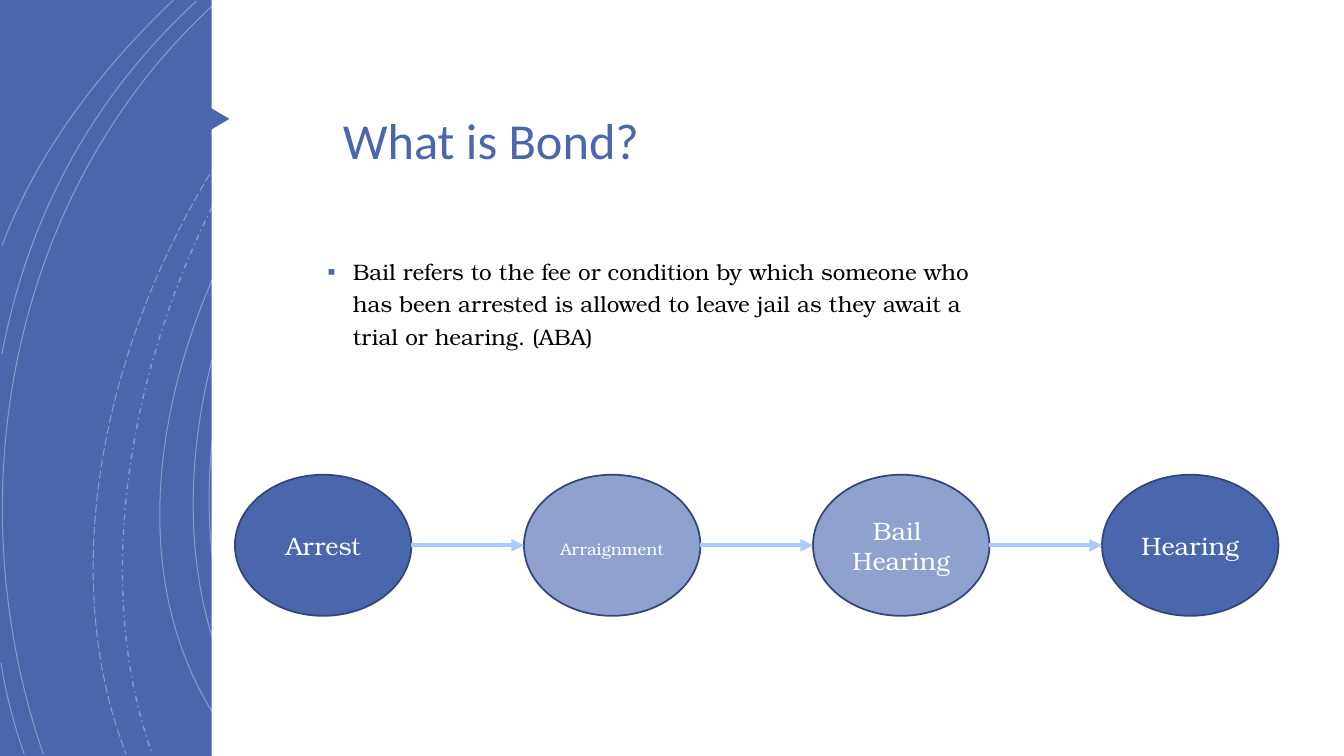
import pptx
import pptx.util
import pptx.dml.color
import pptx.enum.dml
import pptx.enum.shapes
import pptx.enum.text
import pptx.oxml.ns
import lxml.etree

Inches, Pt = pptx.util.Inches, pptx.util.Pt
RGB = pptx.dml.color.RGBColor
SHAPE = pptx.enum.shapes.MSO_SHAPE
DASH = pptx.enum.dml.MSO_LINE
ALIGN = pptx.enum.text.PP_ALIGN
ANCHOR = pptx.enum.text.MSO_ANCHOR
qn = pptx.oxml.ns.qn

BLUE = RGB(0x4A, 0x66, 0xAC)
PALE = RGB(0x8F, 0xA1, 0xCF)
NAVY = RGB(0x33, 0x46, 0x77)
SKY = RGB(0xAC, 0xCB, 0xF9)
WHITE = RGB(0xFF, 0xFF, 0xFF)
BLACK = RGB(0, 0, 0)
SERIF, SANS = "TeX Gyre Bonum", "Calibri"

TITLE = "What is Bond?"
BODY = ("Bail refers to the fee or condition by which someone who has been "
        "arrested is allowed to leave jail as they await a trial or hearing. (ABA)")
STEPS = [("Arrest", BLUE, 18), ("Arraignment", PALE, 12),
         ("Bail \nHearing", PALE, 18), ("Hearing", BLUE, 18)]
CURVES = [
    ((4.64, 0), (2.44, 1.33), (1.1, 5.41), (2.94, 7.48), DASH.SOLID, 0.75),
    ((4.51, 0), (2.31, 1.38), (0.97, 5.33), (2.72, 7.48), DASH.SOLID, 0.75),
    ((4.27, 0), (2.17, 1.47), (0.53, 5.29), (2.41, 7.48), DASH.SOLID, 0.75),
    ((3.63, 0), (1.76, 1.66), (0.65, 5.09), (1.51, 7.48), DASH.DASH_DOT, 1),
    ((3.51, 0), (1.57, 1.69), (0.29, 4.99), (1.25, 7.48), DASH.LONG_DASH, 0.75),
    ((2.17, 0), (0.11, 1.85), (-0.46, 4.9), (0.43, 7.48), DASH.SOLID, 0.75),
    ((1.95, 0.01), (0.92, 0.96), (0.28, 2.14), (0.02, 3.51), DASH.SOLID, 0.75),
    ((0.01, 6.58), (0.06, 6.89), (0.14, 7.19), (0.24, 7.48), DASH.SOLID, 0.75),
    ((1.72, 0), (1, 0.69), (0.37, 1.5), (0.02, 2.44), DASH.SOLID, 0.75),
]
WIDE, HIGH, EDGE = 13.33, 7.5, 2.1
LEFT, LAST, TOP, OVAL_W, OVAL_H = 2.33, 10.93, 4.71, 1.75, 1.4
PITCH = (LAST - LEFT) / (len(STEPS) - 1)


def add(parent, tag, **attrs):
    return lxml.etree.SubElement(parent, qn(tag), **attrs)


def paint(kind, x, y, w, h, fill):
    shape = slide.shapes.add_shape(kind, Inches(x), Inches(y), Inches(w), Inches(h))
    shape.shadow.inherit = False
    shape.fill.solid()
    shape.fill.fore_color.rgb = fill
    shape.line.fill.background()
    return shape


def style(para, name, size, color):
    para.font.name = name
    para.font.size = Pt(size)
    para.font.color.rgb = color


def curve(ends, dash, width):
    dots = [(Inches(x), Inches(y)) for x, y in ends]
    draft = slide.shapes.build_freeform(*dots[0])
    draft.add_line_segments(dots[1:], close=False)
    arc = draft.convert_to_shape()
    lines = list(arc.element.iter(qn("a:lnTo")))
    bend = add(lines[0].getparent(), "a:cubicBezTo")
    for line in lines:
        bend.append(line[0])
        line.getparent().remove(line)
    arc.shadow.inherit = False
    arc.fill.background()
    arc.line.color.rgb = WHITE
    arc.line.width = Pt(width)
    arc.line.dash_style = dash
    tint = arc.element.spPr.find(qn("a:ln")).find(".//" + qn("a:srgbClr"))
    add(tint, "a:alpha", val="35000")


def place(holder, x, y, w, h, text):
    holder.left, holder.top = Inches(x), Inches(y)
    holder.width, holder.height = Inches(w), Inches(h)
    holder.element.getparent().append(holder.element)
    frame = holder.text_frame
    frame.text = text
    frame.word_wrap = True
    frame.auto_size = pptx.enum.text.MSO_AUTO_SIZE.NONE
    frame.vertical_anchor = ANCHOR.TOP
    para = frame.paragraphs[0]
    para.alignment = ALIGN.LEFT
    para.space_before = Pt(0)
    return frame, para


def oval(x, text, fill, size):
    shape = paint(SHAPE.OVAL, x, TOP, OVAL_W, OVAL_H, fill)
    shape.line.color.rgb = NAVY
    shape.line.width = Pt(1.25)
    frame = shape.text_frame
    frame.text = text
    frame.word_wrap = True
    frame.vertical_anchor = ANCHOR.MIDDLE
    for para in frame.paragraphs:
        para.alignment = ALIGN.CENTER
        style(para, SERIF, 18, WHITE)
        if size != 18:
            para.runs[0].font.size = Pt(size)
            para.add_run().text = " "


def arrow(start, end):
    mid = Inches(TOP + OVAL_H / 2)
    link = slide.shapes.add_connector(
        pptx.enum.shapes.MSO_CONNECTOR.STRAIGHT, Inches(start), mid, Inches(end), mid)
    link.line.color.rgb = SKY
    link.line.width = Pt(3)
    props = link.element.spPr
    add(props.find(qn("a:ln")), "a:tailEnd", type="triangle")
    add(props, "a:effectLst")


deck = pptx.Presentation()
deck.slide_width, deck.slide_height = Inches(WIDE), Inches(HIGH)
slide = deck.slides.add_slide(deck.slide_layouts[1])

paint(SHAPE.RECTANGLE, 0, 0, WIDE, HIGH, BLUE)
for *ends, dash, width in CURVES:
    curve(ends, dash, width)
paint(SHAPE.RECTANGLE, EDGE, 0, WIDE - EDGE, HIGH, WHITE)

frame, para = place(slide.shapes.title, 3.15, 0.92, 6.81, 1.35, TITLE)
frame.margin_left = frame.margin_right = Inches(0.25)
frame.margin_top = frame.margin_bottom = Inches(0.25)
para.line_spacing = 0.85
style(para, SANS, 36, BLUE)

paint(SHAPE.ISOSCELES_TRIANGLE, 1.97, 1.04, 0.33, 0.28, BLUE).rotation = 90

frame, para = place(slide.placeholders[1], 3.15, 2.46, 6.7, 4.16, BODY)
para.line_spacing = 1.2
props = para._p.get_or_add_pPr()
props.set("marL", str(Inches(0.25)))
props.set("indent", str(-Inches(0.25)))
add(add(props, "a:buClr"), "a:srgbClr", val=str(BLUE))
add(props, "a:buFont", typeface=SANS)
add(props, "a:buChar", char="▪")
style(para, SERIF, 16, BLACK)

for i, (text, fill, size) in enumerate(STEPS):
    oval(LEFT + i * PITCH, text, fill, size)
for i in range(len(STEPS) - 1):
    arrow(LEFT + i * PITCH + OVAL_W, LEFT + (i + 1) * PITCH)

deck.save("out.pptx")
